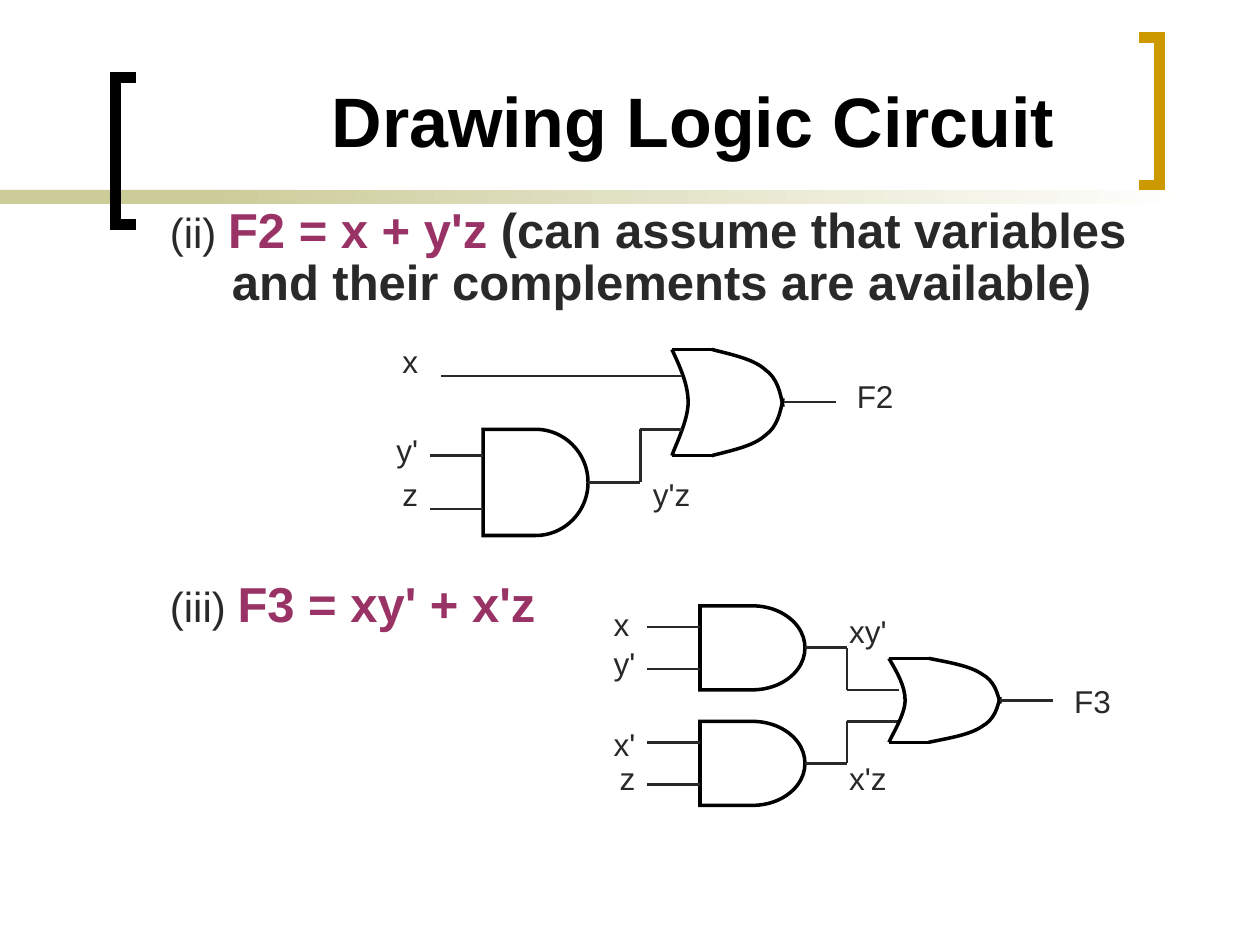
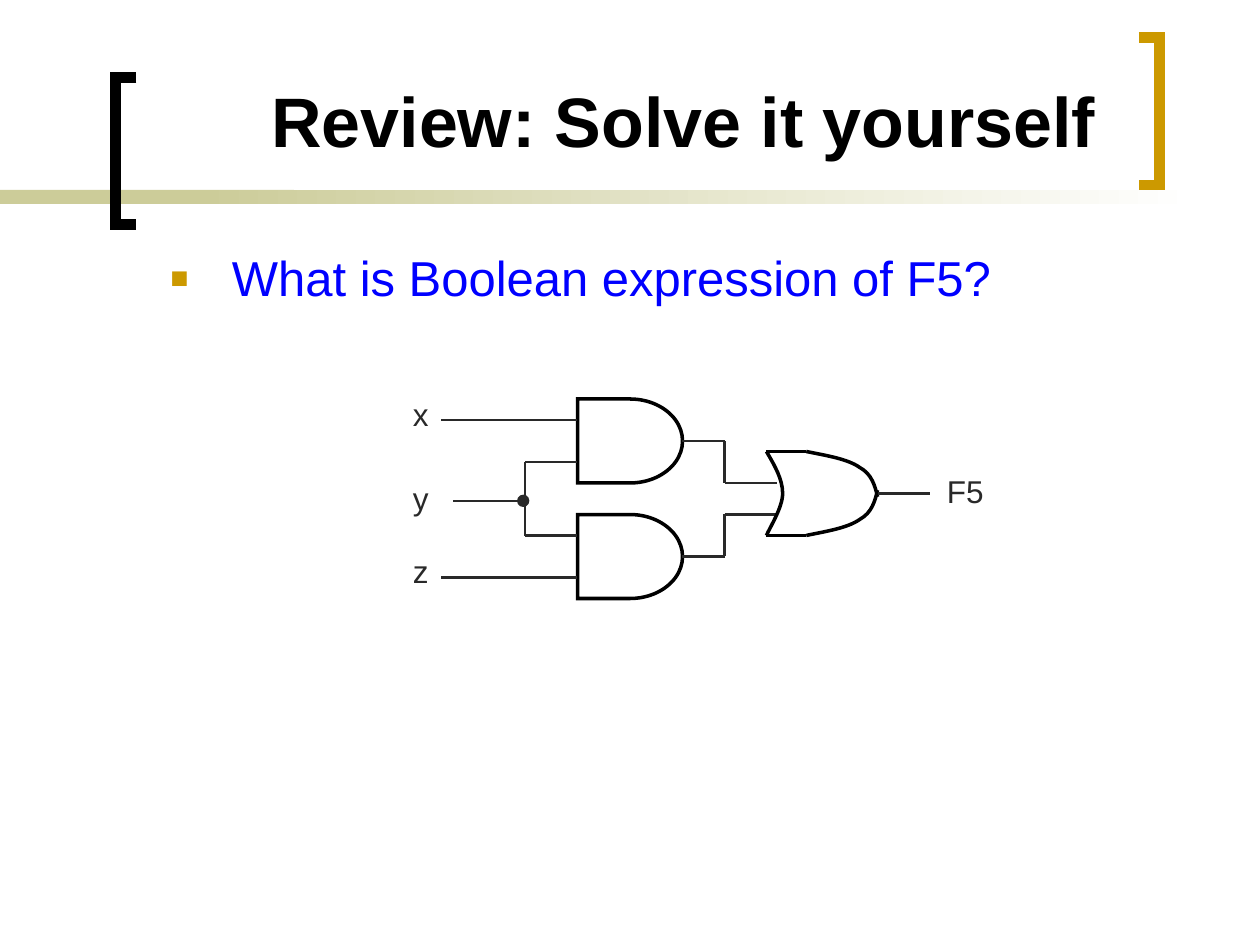
from dataclasses import dataclass
from itertools import pairwise

from lxml.etree import SubElement
from pptx import Presentation
from pptx.dml.color import RGBColor
from pptx.enum.shapes import MSO_CONNECTOR, MSO_SHAPE
from pptx.enum.text import MSO_ANCHOR, MSO_AUTO_SIZE, PP_ALIGN
from pptx.oxml.ns import qn
from pptx.util import Pt

Point = tuple[float, float]


@dataclass(frozen=True)
class Theme:
    font: str = "Arial"
    black: str = "000000"
    text: str = "292929"
    plum: str = "993366"
    blue: str = "0000FF"
    gold: str = "CC9900"
    sage: str = "CCCC99"
    white: str = "FFFFFF"
    title: float = 40
    body: float = 28
    mark: float = 24
    label: float = 18
    gate: float = 2
    wire: float = 1.5
    frame: float = 6


THEME = Theme()


@dataclass(frozen=True)
class Run:
    text: str
    size: float
    color: str
    bold: bool = False


@dataclass(frozen=True)
class Label:
    text: str
    x: float
    y: float
    wide: float
    side: PP_ALIGN = PP_ALIGN.RIGHT


@dataclass(frozen=True)
class Gate:
    x: float
    y: float
    high: float = 48


BACK = [(0, 0), (4.75, 0.17), (9.25, 0.33), (9.25, 0.5),
        (9.25, 0.67), (1.5, 0.92), (0, 1)]
NOSE = [(22.75, 0), (34.5, 0.05), (46.5, 0.09), (53.25, 0.19),
        (60.25, 0.27), (62, 0.41), (63.5, 0.54)]
AND_WIDE = 60
PAIR_GAP = 66


def rgb(code: str) -> RGBColor:
    return RGBColor.from_string(code)


def outline(shape, color: str, width: float) -> None:
    shape.shadow.inherit = False
    shape.fill.background()
    shape.line.color.rgb = rgb(color)
    shape.line.width = Pt(width)
    SubElement(shape.element.spPr.get_or_add_ln(), qn("a:miter"), lim="800000")


def trace(slide, points: list[Point], color: str, width: float):
    knots = [(Pt(x), Pt(y)) for x, y in points]
    pen = slide.shapes.build_freeform(*knots[0])
    pen.add_line_segments(knots[1:], close=False)
    shape = pen.convert_to_shape()
    outline(shape, color, width)
    return shape


def bend(shape) -> None:
    steps = list(shape.element.iter(qn("a:lnTo")))
    for first, *rest in zip(steps[::3], steps[1::3], steps[2::3]):
        first.tag = qn("a:cubicBezTo")
        for step in rest:
            first.append(step[0])
            step.getparent().remove(step)


def draw_line(slide, start: Point, end: Point, color: str,
              width: float) -> None:
    line = slide.shapes.add_connector(
        MSO_CONNECTOR.STRAIGHT, *map(Pt, start + end))
    line.line.color.rgb = rgb(color)
    line.line.width = Pt(width)
    SubElement(line.element.spPr, qn("a:effectLst"))


def draw_wire(slide, *points: Point) -> None:
    for start, end in pairwise(points):
        draw_line(slide, start, end, THEME.text, THEME.wire)


def draw_and(slide, gate: Gate) -> None:
    shape = slide.shapes.add_shape(
        MSO_SHAPE.FLOWCHART_DELAY,
        Pt(gate.x), Pt(gate.y), Pt(AND_WIDE), Pt(gate.high))
    outline(shape, THEME.black, THEME.gate)


def draw_or(slide, gate: Gate) -> None:
    low = [(x, 1 - y) for x, y in NOSE]
    for knots in (BACK, NOSE, low):
        points = [(gate.x + x, gate.y + y * gate.high) for x, y in knots]
        bend(trace(slide, points, THEME.black, THEME.gate))
    for y in (gate.y, gate.y + gate.high):
        draw_line(slide, (gate.x, y), (gate.x + NOSE[0][0], y),
                  THEME.black, THEME.gate)


def draw_pair(slide, x: float, y: float) -> None:
    for shift, join in ((0, 48), (PAIR_GAP, 66)):
        draw_and(slide, Gate(x, y + shift))
        draw_wire(slide, (x + AND_WIDE, y + shift + 24), (x + 84, y + shift + 24),
                  (x + 84, y + join), (x + 114, y + join))
    draw_or(slide, Gate(x + 108, y + 30))
    draw_wire(slide, (x + 171.5, y + 54), (x + 201.5, y + 54))


def add_runs(para, runs: list[Run]) -> None:
    for item in runs:
        run = para.add_run()
        run.text = item.text
        run.font.name = THEME.font
        run.font.size = Pt(item.size)
        run.font.bold = item.bold
        run.font.color.rgb = rgb(item.color)


def add_text(slide, runs: list[Run], x: float, y: float,
             wide: float, high: float):
    box = slide.shapes.add_textbox(Pt(x), Pt(y), Pt(wide), Pt(high))
    box.text_frame.word_wrap = True
    para = box.text_frame.paragraphs[0]
    add_runs(para, runs)
    return para


def hang(para) -> None:
    para.space_before = Pt(7)
    props = para._p.get_or_add_pPr()
    props.set("marL", str(Pt(35.5)))
    props.set("indent", str(-Pt(35.5)))


def add_bullet(para) -> None:
    props = para._p.get_or_add_pPr()
    tint = SubElement(props, qn("a:buClr"))
    SubElement(tint, qn("a:srgbClr"), val=THEME.gold)
    SubElement(props, qn("a:buSzPct"), val="120000")
    SubElement(props, qn("a:buFont"), typeface=THEME.font)
    SubElement(props, qn("a:buChar"), char="▪")


def add_labels(slide, labels: list[Label]) -> None:
    for label in labels:
        para = add_text(slide, [Run(label.text, THEME.label, THEME.text)],
                        label.x, label.y, label.wide, 29)
        para.alignment = label.side


def add_frame(slide, layout) -> None:
    bands = [slide.shapes.add_shape(MSO_SHAPE.RECTANGLE, Pt(x), Pt(108.5),
                                    Pt(wide), Pt(8))
             for x, wide in ((0, 168), (114, 570))]
    for band in bands:
        band.shadow.inherit = False
        band.line.fill.background()
    plain, fade = (band.fill for band in bands)
    plain.solid()
    plain.fore_color.rgb = rgb(THEME.sage)
    fade.gradient()
    fade.gradient_angle = 0
    for stop, spot, color in zip(fade.gradient_stops, (0, 1),
                                 (THEME.sage, THEME.white)):
        stop.position = spot
        stop.color.rgb = rgb(color)

    hooks = []
    for edge, tip, top, color in ((66, 78, 44.2, THEME.black),
                                  (662.6, 650.8, 21.6, THEME.gold)):
        low = top + 84.2
        points = [(tip, top), (edge, top), (edge, low), (tip, low)]
        hooks.append(trace(slide, points, color, THEME.frame))

    for mark, shape in enumerate(bands + hooks, 101):
        shape.element[0][0].set("id", str(mark))
        layout.shapes.element.append(shape.element)


def add_slide(deck, layout, title: str):
    slide = deck.slides.add_slide(layout)
    head = slide.shapes.title
    head.left, head.top, head.width, head.height = map(Pt, (90, 36, 612, 60))
    frame = head.text_frame
    frame.auto_size = MSO_AUTO_SIZE.NONE
    frame.vertical_anchor = MSO_ANCHOR.BOTTOM
    para = frame.paragraphs[0]
    para.alignment = PP_ALIGN.CENTER
    add_runs(para, [Run(title, THEME.title, THEME.black, True)])
    return slide


def fill_drawing(slide) -> None:
    para = add_text(slide, [
        Run("(ii) ", THEME.mark, THEME.text),
        Run("F2 = x + y'z", THEME.body, THEME.plum, True),
        Run(" (can assume that variables and their complements are available)",
            THEME.body, THEME.text, True),
    ], 90, 114, 612, 72)
    hang(para)
    para.line_spacing = 0.9
    add_text(slide, [
        Run("(iii) ", THEME.mark, THEME.text),
        Run("F3 = xy' + x'z", THEME.body, THEME.plum, True),
    ], 90, 324, 234, 41)

    draw_and(slide, Gate(276, 245.3, 60.7))
    draw_or(slide, Gate(384, 199.7, 60.7))
    draw_wire(slide, (252, 214.8), (390, 214.8))
    for y in (260.4, 290.8):
        draw_wire(slide, (246, y), (276, y))
    draw_wire(slide, (336, 275.6), (366, 275.6), (366, 245.3), (390, 245.3))
    draw_wire(slide, (448, 229.8), (478, 229.8))

    x, y = 400, 346.2
    draw_pair(slide, x, y)
    for drop in (12, 36, 78, 102):
        draw_wire(slide, (x - 30, y + drop), (x, y + drop))

    add_labels(slide, [
        Label("x", 222, 192, 24),
        Label("y'", 216, 243, 30),
        Label("z", 222, 268, 24),
        Label("F2", 482.5, 212, 42, PP_ALIGN.LEFT),
        Label("y'z", 366, 268, 36, PP_ALIGN.LEFT),
        Label("x", 336.7, 342, 30),
        Label("y'", 340.2, 364.5, 30),
        Label("x'", 340.2, 410.5, 30),
        Label("z", 346.2, 430.3, 24),
        Label("xy'", 478.2, 346.2, 36, PP_ALIGN.LEFT),
        Label("x'z", 478.2, 430.3, 36, PP_ALIGN.LEFT),
        Label("F3", 606.7, 386, 42, PP_ALIGN.LEFT),
    ])


def fill_review(slide) -> None:
    para = add_text(slide, [
        Run("What is Boolean expression of F5?", THEME.body, THEME.blue),
    ], 90, 138, 612, 48)
    hang(para)
    add_bullet(para)

    x, y = 330, 228
    draw_pair(slide, x, y)
    for drop in (12, 102):
        draw_wire(slide, (252, y + drop), (x, y + drop))
    draw_wire(slide, (x, y + 36), (x - 30, y + 36),
              (x - 30, y + 78), (x, y + 78))
    draw_wire(slide, (259, 286.3), (301, 286.3))
    dot = slide.shapes.add_shape(MSO_SHAPE.OVAL, Pt(296), Pt(283.2),
                                 Pt(6), Pt(6))
    outline(dot, THEME.text, 1)
    dot.fill.solid()
    dot.fill.fore_color.rgb = rgb(THEME.text)

    add_labels(slide, [
        Label("x", 222, 222, 30),
        Label("y", 222, 270, 30),
        Label("z", 228, 312, 24),
        Label("F5", 534, 266, 42, PP_ALIGN.LEFT),
    ])


def main() -> None:
    deck = Presentation()
    deck.slide_width, deck.slide_height = Pt(720), Pt(540)
    layout = deck.slide_layouts[5]
    first = add_slide(deck, layout, "Drawing Logic Circuit")
    add_frame(first, layout)
    fill_drawing(first)
    fill_review(add_slide(deck, layout, "Review: Solve it yourself "))
    deck.save("out.pptx")


if __name__ == "__main__":
    main()
